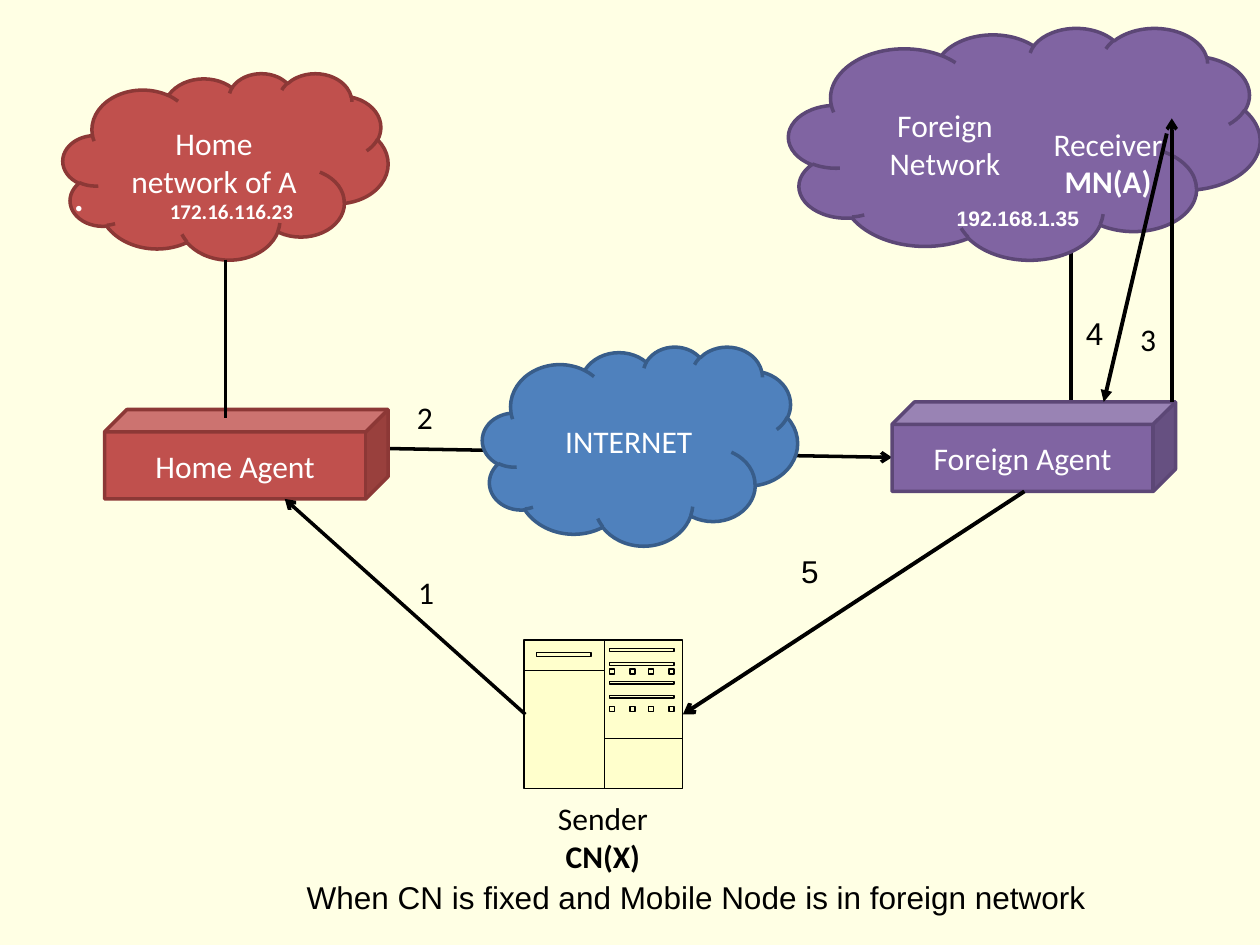
import pptx
import pptx.util
import pptx.dml.color
import pptx.enum.shapes
import pptx.enum.text
import pptx.oxml.ns
from lxml import etree

Inches, Pt = pptx.util.Inches, pptx.util.Pt
RGBColor = pptx.dml.color.RGBColor
SHAPE = pptx.enum.shapes.MSO_SHAPE
ALIGN = pptx.enum.text.PP_ALIGN
qn = pptx.oxml.ns.qn

BACKGROUND = RGBColor(0xFF, 0xFF, 0xE4)
BLACK = RGBColor(0, 0, 0)
WHITE = RGBColor(0xFF, 0xFF, 0xFF)
SERVER_FILL = RGBColor(0xFF, 0xFF, 0xCC)
# Fill and outline of each network
INTERNET = RGBColor(0x4F, 0x81, 0xBD), RGBColor(0x38, 0x5D, 0x8A)
HOME = RGBColor(0xC0, 0x50, 0x4D), RGBColor(0x8C, 0x38, 0x36)
FOREIGN = RGBColor(0x80, 0x64, 0xA2), RGBColor(0x5C, 0x47, 0x76)


def write_lines(frame, lines, color, font="Calibri", size=18, align=ALIGN.CENTER, bold_lines=()):
    frame.word_wrap = True
    for i, line in enumerate(lines):
        paragraph = frame.paragraphs[0] if i == 0 else frame.add_paragraph()
        paragraph.text = line
        paragraph.alignment = align
        paragraph.font.name = font
        paragraph.font.size = Pt(size)
        paragraph.font.bold = i in bold_lines
        paragraph.font.color.rgb = color


def add_label(slide, box, lines, color=BLACK, **style):
    label = slide.shapes.add_textbox(*map(Inches, box))
    write_lines(label.text_frame, lines, color, **style)
    return label


def add_node(slide, kind, box, colors, caption=None):
    """Add a network cloud or an agent cube."""
    node = slide.shapes.add_shape(kind, *map(Inches, box))
    node.shadow.inherit = False
    node.fill.solid()
    node.fill.fore_color.rgb, node.line.color.rgb = colors
    node.line.width = Pt(2)
    if caption:
        node.text_frame.vertical_anchor = pptx.enum.text.MSO_ANCHOR.MIDDLE
        write_lines(node.text_frame, [caption], WHITE)


def add_link(slide, start, end, head=None, width=2):
    link = slide.shapes.add_connector(
        pptx.enum.shapes.MSO_CONNECTOR.STRAIGHT, *map(Inches, start + end))
    link.line.color.rgb = BLACK
    link.line.width = Pt(width)
    if head:
        etree.SubElement(link.line._get_or_add_ln(), qn("a:tailEnd"), type=head)
    etree.SubElement(link._element.spPr, qn("a:effectLst"))


def rectangle(left, top, width, height):
    right, bottom = left + width, top + height
    return [(left, top), (right, top), (right, bottom), (left, bottom), (left, top)]


def add_server(slide):
    left, top, width, height = 4.16, 5.08, 1.26, 1.18
    middle, right, bottom = 4.8, left + width, top + height

    # Case
    case = slide.shapes.add_shape(SHAPE.RECTANGLE, *map(Inches, (left, top, width, height)))
    case.fill.solid()
    case.fill.fore_color.rgb = SERVER_FILL

    # Panel lines, drive slots and buttons
    outlines = [
        [(left, 5.32), (middle, 5.32), (middle, 5.86), (right, 5.86)],
        [(middle, top), (middle, bottom)],
        rectangle(4.26, 5.18, 0.43, 0.03),
    ]
    outlines += [rectangle(4.84, y, 0.51, 0.02) for y in (5.15, 5.26, 5.41, 5.52)]
    outlines += [rectangle(x, y, 0.04, 0.04)
                 for y in (5.31, 5.61) for x in (4.84, 5, 5.15, 5.31)]
    outlines = [[(Inches(x), Inches(y)) for x, y in points] for points in outlines]
    builder = slide.shapes.build_freeform(*outlines[0][0])
    for points in outlines:
        builder.move_to(*points[0])
        builder.add_line_segments(points[1:], close=False)
    details = builder.convert_to_shape()
    details.fill.background()

    for part in (case, details):
        part.shadow.inherit = False
        part.line.color.rgb = BLACK
        part.line.width = Pt(0.75)


def add_home_address(slide):
    address = add_label(slide, (0.5, 1.53, 2.5, 0.3), ["172.16.116.23"], WHITE,
                        size=12, align=ALIGN.LEFT, bold_lines=(0,))
    properties = address.text_frame.paragraphs[0]._p.get_or_add_pPr()
    properties.set("marL", str(Inches(0.75)))
    properties.set("indent", str(-Inches(0.75)))
    bullet = etree.Element(qn("a:buChar"), char="•")
    properties.insert(0, bullet)


def main():
    presentation = pptx.Presentation()
    presentation.slide_width, presentation.slide_height = Inches(10), Inches(7.5)
    slide = presentation.slides.add_slide(presentation.slide_layouts[6])
    slide.background.fill.solid()
    slide.background.fill.fore_color.rgb = BACKGROUND

    # Tunnel between the agents, passing behind the internet
    add_link(slide, (3.08, 3.56), (7.08, 3.63), "arrow")
    add_node(slide, SHAPE.CLOUD, (3.83, 2.75, 2.5, 1.58), INTERNET, "INTERNET")

    # Sender
    add_server(slide)
    add_label(slide, (3.91, 6.29, 1.75, 0.7), ["Sender", "CN(X)"], bold_lines=(1,))

    # Home network
    add_node(slide, SHAPE.CUBE, (0.83, 3.25, 2.25, 0.71), HOME, "Home Agent")
    add_node(slide, SHAPE.CLOUD, (0.5, 0.58, 2.58, 1.48), HOME, "Home network of A")
    add_link(slide, (1.79, 2.06), (1.79, 3.32))
    add_home_address(slide)

    # Foreign network
    add_link(slide, (8.5, 1.92), (8.5, 3.19))
    add_node(slide, SHAPE.CUBE, (7.08, 3.19, 2.25, 0.71), FOREIGN, "Foreign Agent")
    add_node(slide, SHAPE.CLOUD, (6.26, 0.22, 3.74, 1.84), FOREIGN)
    add_label(slide, (8.21, 0.94, 1.17, 0.7), ["Receiver", "MN(A)"], WHITE, bold_lines=(1,))
    add_label(slide, (6.77, 0.79, 1.46, 0.7), ["Foreign Network"], WHITE)
    add_label(slide, (7.08, 1.58, 2, 0.3), ["192.168.1.35"], WHITE,
              font="Arial", size=12, bold_lines=(0,))

    # Message paths
    add_link(slide, (4.17, 5.67), (2.26, 3.96), "arrow")
    add_link(slide, (9.3, 3.19), (9.3, 0.94), "arrow")
    add_link(slide, (9.26, 1.06), (8.76, 3.19), "triangle", 2.25)
    add_link(slide, (8.13, 3.9), (5.42, 5.67), "arrow", 2.25)

    # Step numbers
    for step, left, top, font in (("1", 3.22, 4.5, "Calibri"), ("2", 3.21, 3.11, "Calibri"),
                                  ("3", 8.95, 2.49, "Calibri"), ("4", 8.52, 2.44, "Arial"),
                                  ("5", 6.26, 4.33, "Arial")):
        add_label(slide, (left, top, 0.35, 0.4), [step], font=font, align=ALIGN.LEFT)

    # Caption
    add_label(slide, (1.17, 6.92, 8.71, 0.4),
              ["When CN is fixed and Mobile Node is in foreign network"], font="Arial")

    presentation.save("out.pptx")


if __name__ == "__main__":
    main()
